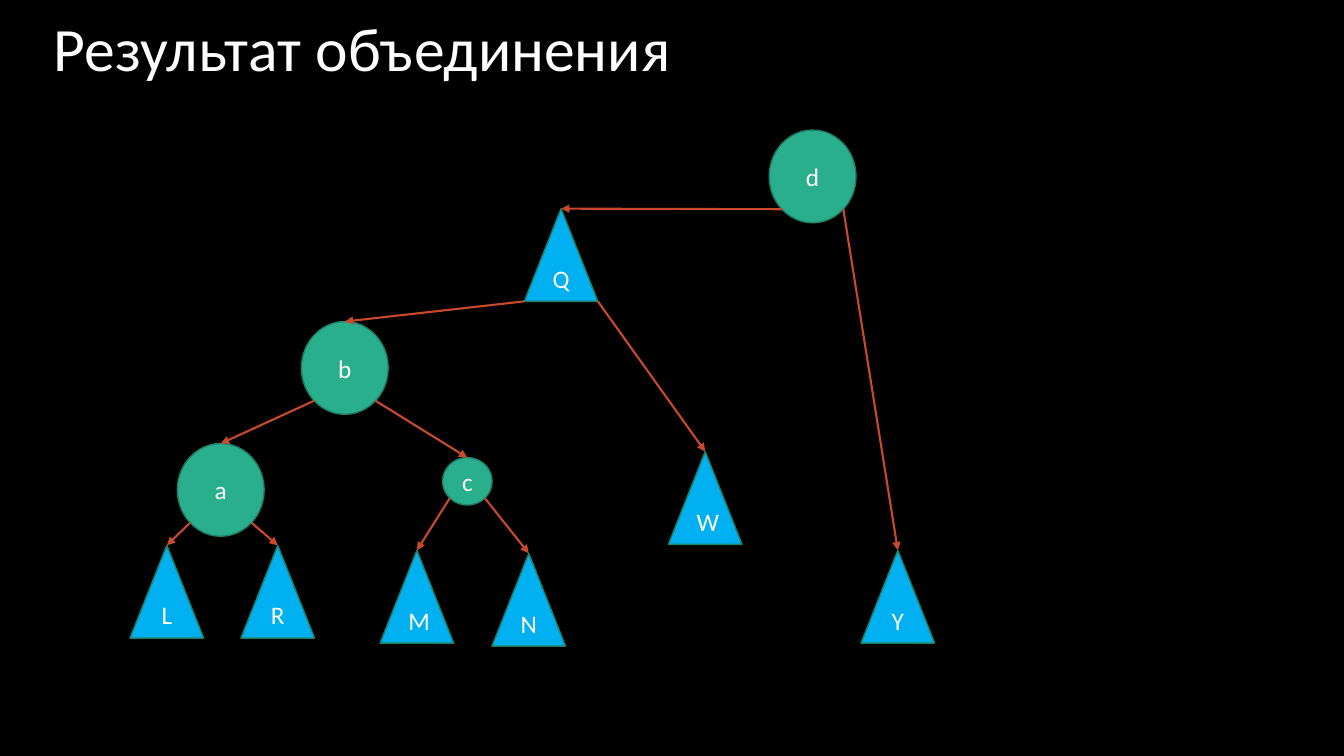
from lxml import etree
from pptx import Presentation
from pptx.dml.color import RGBColor
from pptx.enum.shapes import MSO_CONNECTOR, MSO_SHAPE
from pptx.enum.text import MSO_ANCHOR, MSO_AUTO_SIZE, PP_ALIGN
from pptx.oxml.ns import qn
from pptx.util import Inches, Pt

OVAL, TRI = MSO_SHAPE.OVAL, MSO_SHAPE.ISOSCELES_TRIANGLE
STRAIGHT = MSO_CONNECTOR.STRAIGHT
LEFT, CENTER = PP_ALIGN.LEFT, PP_ALIGN.CENTER
MIDDLE, NO_FIT = MSO_ANCHOR.MIDDLE, MSO_AUTO_SIZE.NONE

COLORS = {"back": "000000", "text": "FFFFFF", "node": "29AF8C",
          "tree": "00B0F0", "edge": "1E8168", "arrow": "C9492C"}
FONT = "Calibri"

# Sizes of the three kinds of vertex
BIG, SMALL, LEAF = (0.86, 0.92), (0.49, 0.47), (0.73, 0.92)

# Name: shape, left, top (within the tree box), size
NODES = {
    "d": (OVAL, 6.34, 0, BIG),
    "Q": (TRI, 3.91, 0.78, LEAF),
    "b": (OVAL, 1.7, 1.9, BIG),
    "W": (TRI, 5.34, 3.19, LEAF),
    "Y": (TRI, 7.25, 4.17, LEAF),
    "a": (OVAL, 0.47, 3.11, BIG),
    "c": (OVAL, 3.1, 3.25, SMALL),
    "L": (TRI, 0, 4.12, LEAF),
    "R": (TRI, 1.1, 4.12, LEAF),
    "M": (TRI, 2.48, 4.17, LEAF),
    "N": (TRI, 3.59, 4.2, LEAF),
}
# Parent: left child, right child
KIDS = {"d": "QY", "Q": "bW", "b": "ac", "a": "LR", "c": "MN"}
# Where arrows leave a shape: share of width on each side, share of height
EXITS = {OVAL: (0.146, 0.854, 0.854), TRI: (0, 1, 1)}


def color(name):
    return RGBColor.from_string(COLORS[name])


def write(shape, text, size, align):
    frame = shape.text_frame
    frame.text = text
    frame.vertical_anchor = MIDDLE
    para = frame.paragraphs[0]
    para.alignment = align
    font = para.runs[0].font
    for key, value in {"size": Pt(size), "name": FONT, "bold": False}.items():
        setattr(font, key, value)
    font.color.rgb = color("text")
    return para


def add_title(slide, text, left, top, width, height):
    title = slide.shapes.title
    box = {"left": left, "top": top, "width": width, "height": height}
    for key, value in box.items():
        setattr(title, key, Inches(value))
    write(title, text, 44, LEFT).line_spacing = 0.9
    title.text_frame.auto_size = NO_FIT


def add_node(slide, name, left, top):
    kind, x, y, size = NODES[name]
    box = (left + x, top + y, *size)
    node = slide.shapes.add_shape(kind, *map(Inches, box))
    node.shadow.inherit = False
    node.fill.solid()
    node.fill.fore_color.rgb = color("node" if kind == OVAL else "tree")
    node.line.color.rgb = color("edge")
    node.line.width = Pt(1)
    write(node, name, 18, CENTER)
    return node


def add_arrow(slide, start, kid):
    arrow = slide.shapes.add_connector(STRAIGHT, *start, *start)
    arrow.end_connect(kid, 0)
    arrow.line.color.rgb = color("arrow")
    arrow.line.width = Pt(1.5)
    # Arrowhead at the child, no shadow
    line = arrow.line._get_or_add_ln()
    etree.SubElement(line, qn("a:tailEnd"), type="triangle")
    etree.SubElement(arrow._element.spPr, qn("a:effectLst"))


def add_tree(slide, left, top):
    nodes = {name: add_node(slide, name, left, top) for name in NODES}
    for name, kids in KIDS.items():
        node = nodes[name]
        *sides, low = EXITS[NODES[name][0]]
        for side, kid in zip(sides, kids):
            start = (int(node.left + side * node.width),
                     int(node.top + low * node.height))
            add_arrow(slide, start, nodes[kid])


def main():
    deck = Presentation()
    deck.slide_width, deck.slide_height = Inches(13.33), Inches(7.5)
    slide = deck.slides.add_slide(deck.slide_layouts[5])
    fill = slide.background.fill
    fill.solid()
    fill.fore_color.rgb = color("back")
    add_title(slide, "Результат объединения", 0.43, -0.21, 11.5, 1.45)
    add_tree(slide, 1.29, 1.29)
    deck.save("out.pptx")


if __name__ == "__main__":
    main()
